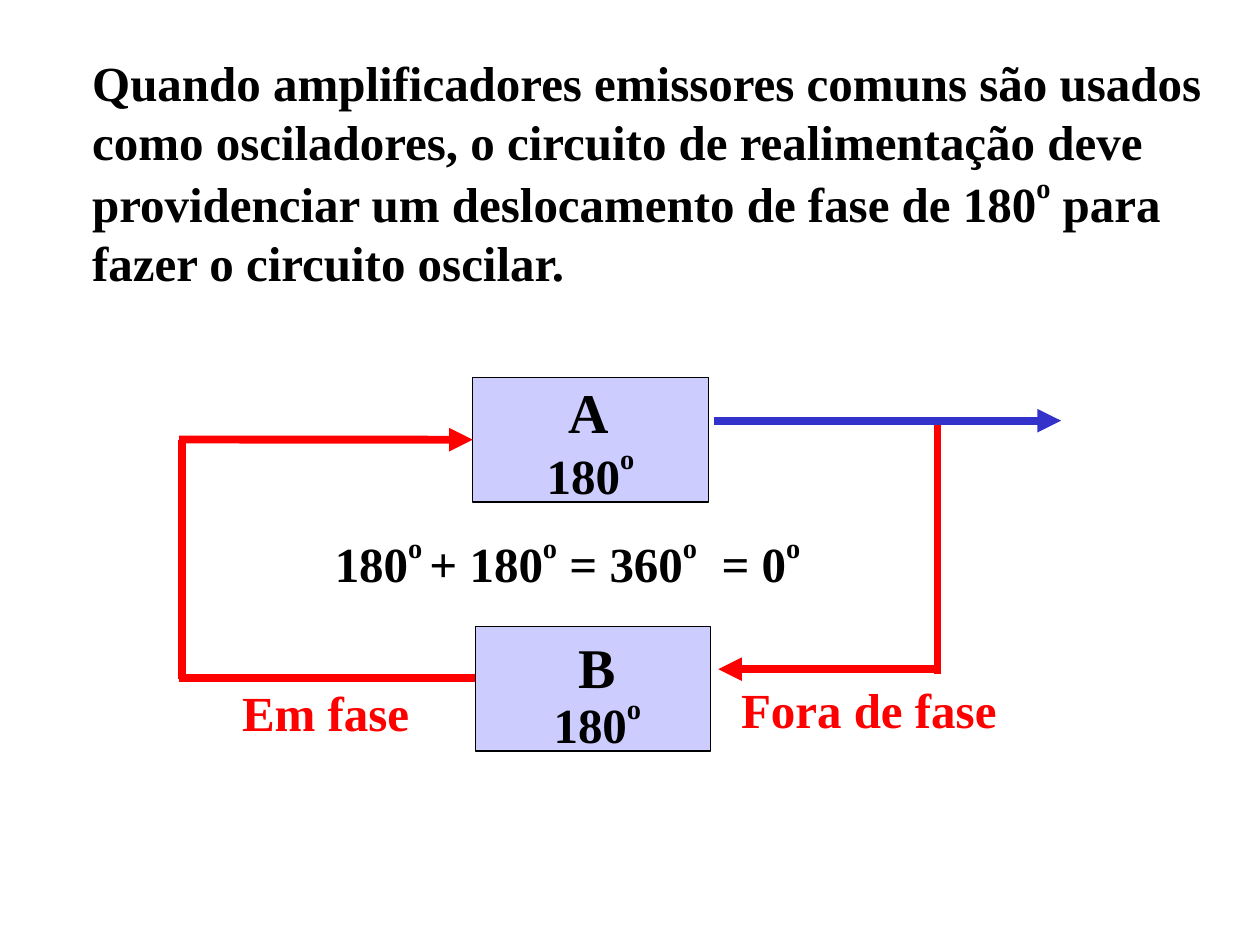
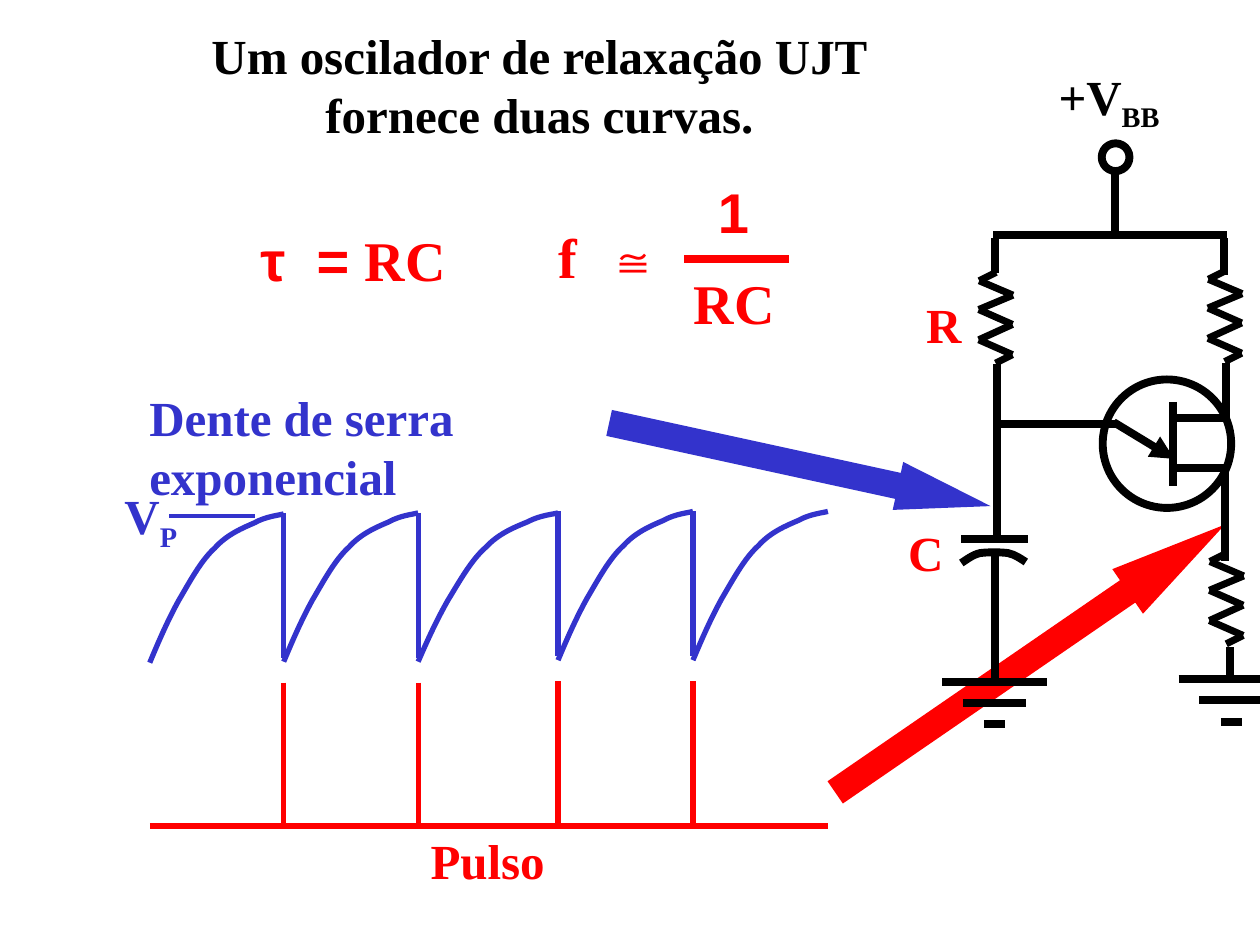
"""Build two slides on oscillators: the feedback loop and the UJT relaxation oscillator."""
from dataclasses import dataclass
from itertools import pairwise

from lxml.etree import SubElement
from pptx import Presentation
from pptx.dml.color import RGBColor as RGB
from pptx.enum.shapes import MSO_CONNECTOR as CONN, MSO_SHAPE as SHAPE
from pptx.enum.text import MSO_AUTO_SIZE as FIT, PP_ALIGN as ALIGN
from pptx.oxml.ns import qn
from pptx.util import Cm, Pt


@dataclass(frozen=True)
class Theme:
    black: str = "000000"
    red: str = "FF0000"
    blue: str = "3333CC"
    pale: str = "CCCCFF"
    serif: str = "Times New Roman"
    sans: str = "Arial"
    body: int = 28
    large: int = 32
    wire: float = 4.5
    zigzag: float = 4
    wave: float = 3
    mark: float = 2.25
    border: float = 0.75


T = Theme()
SUP, SUB = {"base": 50}, {"base": -25}
DEGREE = ("o", SUP)
SANS = {"font": T.sans}
BIG = {"size": T.large}
BIG_RED = {"size": T.large, "color": T.red}
RED, BLUE = {"color": T.red}, {"color": T.blue}

AMPLIFIER = (9.53, 7.61, 4.75, 2.51)
FEEDBACK = (9.58, 12.63, 4.75, 2.51)
LOOP_LEFT, LOOP_IN = 3.61, 8.86
LOOP_WIRES = [
    ((18.9, 13.59), (18.9, 8.51), {"color": T.red}),
    ((14.4, 8.48), (21.39, 8.48), {"color": T.blue, "arrow": True}),
    ((9.58, 13.67), (LOOP_LEFT, 13.67), {"color": T.red}),
    ((18.97, 13.49), (14.48, 13.49), {"color": T.red, "arrow": True}),
    ((3.66, 13.69), (3.66, LOOP_IN), {"color": T.red}),
]
LOOP_TEXTS = [
    ((1.61, 0.93, 23.2, 5.08), [
        ["Quando amplificadores emissores comuns são usados"],
        ["como osciladores, o circuito de realimentação deve"],
        ["providenciar um deslocamento de fase de 180", DEGREE, " para"],
        ["fazer o circuito oscilar."]], {}),
    ((11.21, 7.49, 1.4, 1.63), [["A"]], BIG),
    ((11.41, 12.63, 1.4, 1.63), [["B"]], BIG),
    ((14.69, 13.58, 5.8, 1.45), [["Fora de fase"]], RED),
    ((10.77, 8.77, 2.5, 1.52), [["180", DEGREE]], {}),
    ((10.91, 13.8, 2.5, 1.52), [["180", DEGREE]], {}),
    ((6.5, 10.56, 10.2, 1.52), [[
        "180", ("o ", SUP), "+ 180", DEGREE, " = 360", DEGREE,
        (" ", {"gap": 7}), "= 0", DEGREE]], {}),
    ((4.63, 13.64, 4.1, 1.45), [["Em fase"]], RED),
]

UJT_TEXTS = [
    ((21.09, 1.22, 2.7, 1.6), [["+V", ("BB", SUB)]], {}),
    ((18.42, 5.81, 1.3, 1.45), [["R"]], RED),
    ((18.06, 10.41, 1.3, 1.45), [["C"]], RED),
    ((3.99, 0.39, 13.77, 2.64),
     [["Um oscilador de relaxação UJT"], ["fornece duas curvas."]], {"align": ALIGN.CENTER}),
    ((5, 4.42, 6.35, 1.63),
     [[("τ", SANS), (" ", {"gap": 8.9, **SANS}), ("= ", SANS), "RC"]], BIG_RED),
    ((11.01, 4.37, 2.9, 1.63), [["f", (" ", {"gap": 8}), ("≅", SANS)]], BIG_RED),
    ((13.74, 5.28, 2.4, 1.63), [["RC"]], BIG_RED),
    ((14.22, 3.45, 1.2, 1.63), [[("1", SANS)]], BIG_RED),
    ((2.76, 7.69, 7, 2.64), [["Dente de serra"], ["exponencial"]], BLUE),
    ((8.43, 16.61, 3.1, 1.45), [["Pulso"]], RED),
    ((2.26, 9.67, 1.9, 1.6), [["V", ("P", SUB)]], BLUE),
]
CIRCUIT_WIRES = [
    ((22.5, 8.54), (20.04, 8.54)),
    ((23.65, 8.1), (23.65, 9.8)),
    ((23.7, 8.43), (24.79, 8.43)),
    ((23.67, 9.44), (24.77, 9.44)),
    ((24.69, 11.3), (24.69, 9.45)),
    ((24.71, 8.41), (24.71, 7.32)),
    ((19.38, 10.87), (20.73, 10.87)),
    ((22.48, 4.67), (22.48, 3.48)),
    ((20.05, 5.51), (20.05, 4.8)),
    ((24.67, 5.54), (24.67, 4.8)),
    ((24.74, 4.74), (20.01, 4.74)),
    ((20.09, 7.34), (20.09, 10.85)),
    ((20.05, 11.13), (20.05, 13.72)),
    ((24.79, 13.05), (24.79, 13.72)),
]
EMITTER = ((22.45, 8.51), (23.67, 9.25))
FRACTION_BAR = ((13.79, 5.23), (15.9, 5.23))
PEAK_MARK = ((5.14, 10.41), (3.41, 10.41))
RINGS = [(22.23, 7.65, 2.59, 2.59), (22.21, 2.89, 0.56, 0.56)]
PULSE_ARROW = ((16, 12.73, 9.53, 1.09), -34.5, (0.5, 2.18), T.red)
SAW_ARROW = ((12.19, 8.87, 7.87, 0.99), 12.3, (0.54, 1.93), T.blue)
RESISTORS = [(19.73, 5.49), (24.35, 5.46), (24.38, 11.15)]
ZIGZAG = [(0.35, 0), (0.01, 0.17), (0.69, 0.46), (0, 0.75),
          (0.68, 1.05), (0, 1.36), (0.68, 1.66), (0.34, 1.83)]
GROUNDS = [(20.05, 13.74), (24.82, 13.69)]
GROUND_HALVES, GROUND_STEP = (1.06, 0.64, 0.21), 0.43
PLATE = [(19.38, 11.35), (19.46, 11.3), (19.61, 11.18), (19.76, 11.15), (19.91, 11.13),
         (20.17, 11.13), (20.32, 11.15), (20.47, 11.18), (20.6, 11.28), (20.68, 11.33)]
TOOTH_WIDTH = 2.72
TOOTH = [(0, 0), (0.18, -0.43), (0.36, -0.84), (0.58, -1.24), (0.81, -1.63),
         (1.04, -2.06), (1.32, -2.31), (1.57, -2.59), (1.9, -2.72), (2.13, -2.82),
         (2.36, -2.95), (2.62, -2.97), (TOOTH_WIDTH, -3)]
TEETH = [(3.02, 13.36), (5.72, 13.34), (8.43, 13.34), (11.25, 13.31), (13.97, 13.31)]
WAVE_END = 16.69
TOOTH_RISE, EDGE, PULSE_GAP = 3, 2.92, 0.42
PULSE_BASE = 16.65


def rgb(color):
    return RGB.from_string(color)


def add_text(s, box, paras, size=T.body, color=T.black, align=ALIGN.LEFT):
    tf = s.shapes.add_textbox(*map(Cm, box)).text_frame
    tf.word_wrap = False
    tf.auto_size = FIT.SHAPE_TO_FIT_TEXT
    for i, runs in enumerate(paras):
        p = tf.add_paragraph() if i else tf.paragraphs[0]
        p.alignment = align
        for run in runs:
            text, fmt = (run, {}) if isinstance(run, str) else run
            r = p.add_run()
            r.text = text
            r.font.name = fmt.get("font", T.serif)
            r.font.size, r.font.bold = Pt(size), True
            r.font.color.rgb = rgb(color)
            for key, attr, scale in (("base", "baseline", 1000), ("gap", "spc", 100)):
                if key in fmt:
                    r._r.get_or_add_rPr().set(attr, str(round(fmt[key] * scale)))


def set_line(sp, color, width):
    sp.line.color.rgb = rgb(color)
    sp.line.width = Pt(width)


def add_line(s, start, end, color=T.black, width=T.wire, arrow=False):
    c = s.shapes.add_connector(CONN.STRAIGHT, *map(Cm, (*start, *end)))
    set_line(c, color, width)
    if arrow:
        SubElement(c.line._get_or_add_ln(), qn("a:tailEnd"), type="triangle")
    SubElement(c._element.spPr, qn("a:effectLst"))
    return c


def add_shape(s, kind, box, fill=None, line=None, width=T.wire):
    sp = s.shapes.add_shape(kind, *map(Cm, box))
    sp.shadow.inherit = False
    if fill:
        sp.fill.solid()
        sp.fill.fore_color.rgb = rgb(fill)
    else:
        sp.fill.background()
    if line:
        set_line(sp, line, width)
    else:
        sp.line.fill.background()
    return sp


def add_block_arrow(s, box, angle, adjust, color):
    sp = add_shape(s, SHAPE.RIGHT_ARROW, box, fill=color)
    sp.rotation = angle
    sp.adjustments[0], sp.adjustments[1] = adjust


def add_curve(s, points, color, width):
    first, *rest = [(Cm(x), Cm(y)) for x, y in points]
    builder = s.shapes.build_freeform(*first)
    builder.add_line_segments(rest, close=False)
    sp = builder.convert_to_shape()
    sp.shadow.inherit = False
    sp.fill.background()
    set_line(sp, color, width)
    outline = next(sp._element.iter(qn("a:path")))
    segments = outline.findall(qn("a:lnTo"))
    for i in range(0, len(segments), 3):
        bend = SubElement(outline, qn("a:cubicBezTo"))
        for segment in segments[i:i + 3]:
            bend.append(segment[0])
            outline.remove(segment)


def shift(points, x, y, stretch=1):
    return [(x + dx * stretch, y + dy) for dx, dy in points]


def feedback_slide(s):
    amplifier, _ = [add_shape(s, SHAPE.RECTANGLE, box, T.pale, T.black, T.border)
                    for box in (AMPLIFIER, FEEDBACK)]
    for start, end, fmt in LOOP_WIRES:
        add_line(s, start, end, **fmt)
    loop_in = add_line(s, (LOOP_LEFT, LOOP_IN), (AMPLIFIER[0], LOOP_IN), T.red, arrow=True)
    loop_in.end_connect(amplifier, 1)
    for box, paras, fmt in LOOP_TEXTS:
        add_text(s, box, paras, **fmt)


def add_circuit(s):
    for ring in RINGS:
        add_shape(s, SHAPE.OVAL, ring, line=T.black)
    for start, end in CIRCUIT_WIRES:
        add_line(s, start, end)
    add_line(s, *EMITTER, arrow=True)
    add_curve(s, PLATE, T.black, T.wire)
    for origin in RESISTORS:
        for start, end in pairwise(shift(ZIGZAG, *origin)):
            add_line(s, start, end, width=T.zigzag)
    for x, top in GROUNDS:
        for i, half in enumerate(GROUND_HALVES):
            y = top + i * GROUND_STEP
            add_line(s, (x - half, y), (x + half, y))


def add_waves(s):
    stops = [x for x, _ in TEETH[1:]] + [WAVE_END]
    for i, ((x, y), stop) in enumerate(zip(TEETH, stops)):
        add_curve(s, shift(TOOTH, x, y, (stop - x) / TOOTH_WIDTH), T.blue, T.wave)
        add_line(s, (x, PULSE_BASE), (stop, PULSE_BASE), T.red, T.wave)
        if i:
            for top, color in ((y - TOOTH_RISE, T.blue), (y + PULSE_GAP, T.red)):
                add_line(s, (x, top), (x, top + EDGE), color, T.wave)


def relaxation_slide(s):
    add_block_arrow(s, *PULSE_ARROW)
    add_circuit(s)
    add_block_arrow(s, *SAW_ARROW)
    add_waves(s)
    add_line(s, *FRACTION_BAR, T.red)
    add_line(s, *PEAK_MARK, T.blue, T.mark)
    for box, paras, fmt in UJT_TEXTS:
        add_text(s, box, paras, **fmt)


def main():
    prs = Presentation()
    prs.slide_width, prs.slide_height = Cm(25.4), Cm(19.05)
    for build in (feedback_slide, relaxation_slide):
        build(prs.slides.add_slide(prs.slide_layouts[6]))
    prs.save("out.pptx")


if __name__ == "__main__":
    main()
